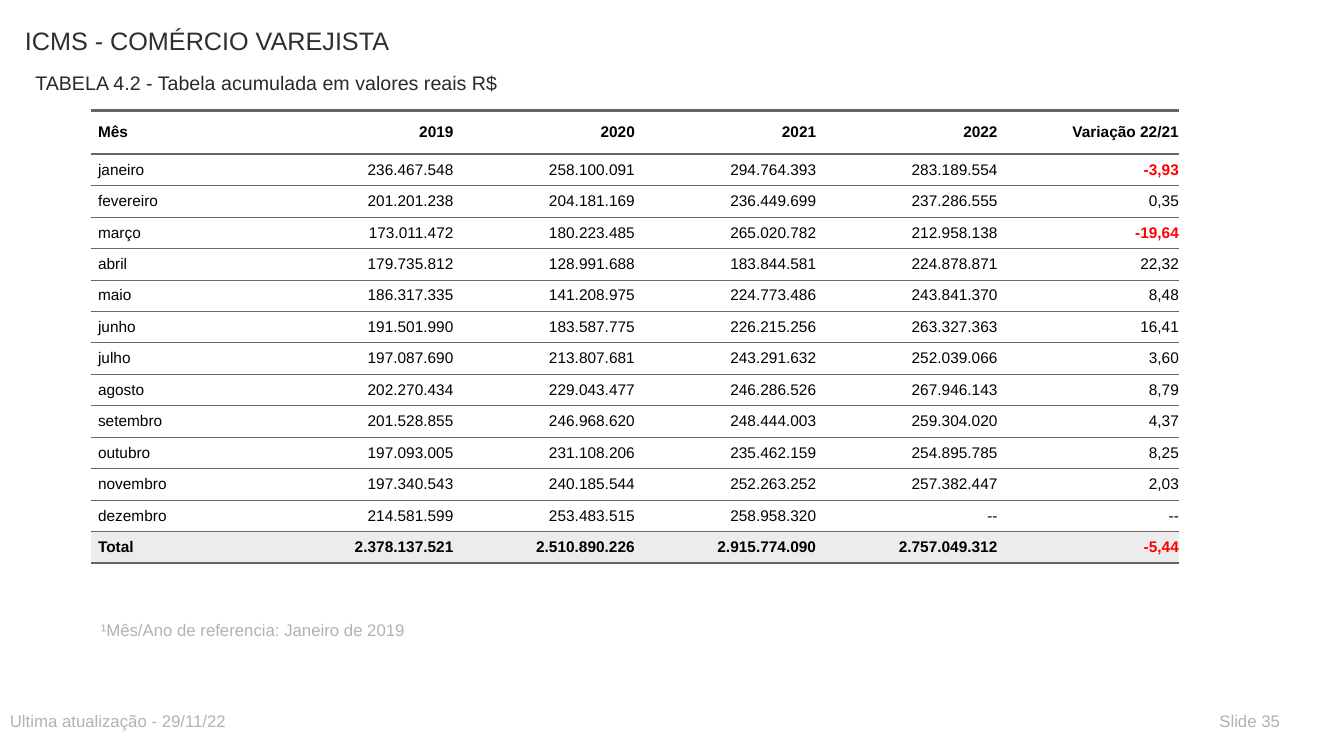
from dataclasses import dataclass

from lxml.etree import SubElement
from pptx import Presentation
from pptx.dml.color import RGBColor
from pptx.enum.text import MSO_ANCHOR, PP_ALIGN
from pptx.oxml.ns import qn
from pptx.util import Cm, Pt

COLORS = {
    "title": "2D2E2D",
    "subtitle": "292929",
    "muted": "B2B2B2",
    "text": "000000",
    "negative": "FF0000",
    "rule": "666666",
    "white": "FFFFFF",
    "total": "ECECEC",
}
FONT = "Arial"
PADDING = Cm(0.18)
THIN, THICK = 0.5, 2

HEADER = ["Mês", "2019", "2020", "2021", "2022", "Variação 22/21"]
MONTHS = [
    ["janeiro", "236.467.548", "258.100.091", "294.764.393", "283.189.554", "-3,93"],
    ["fevereiro", "201.201.238", "204.181.169", "236.449.699", "237.286.555", "0,35"],
    ["março", "173.011.472", "180.223.485", "265.020.782", "212.958.138", "-19,64"],
    ["abril", "179.735.812", "128.991.688", "183.844.581", "224.878.871", "22,32"],
    ["maio", "186.317.335", "141.208.975", "224.773.486", "243.841.370", "8,48"],
    ["junho", "191.501.990", "183.587.775", "226.215.256", "263.327.363", "16,41"],
    ["julho", "197.087.690", "213.807.681", "243.291.632", "252.039.066", "3,60"],
    ["agosto", "202.270.434", "229.043.477", "246.286.526", "267.946.143", "8,79"],
    ["setembro", "201.528.855", "246.968.620", "248.444.003", "259.304.020", "4,37"],
    ["outubro", "197.093.005", "231.108.206", "235.462.159", "254.895.785", "8,25"],
    ["novembro", "197.340.543", "240.185.544", "252.263.252", "257.382.447", "2,03"],
    ["dezembro", "214.581.599", "253.483.515", "258.958.320", "--", "--"],
]
TOTAL = ["Total", "2.378.137.521", "2.510.890.226", "2.915.774.090", "2.757.049.312", "-5,44"]


@dataclass
class Label:
    text: str
    left: float
    top: float
    width: float
    height: float
    size: int
    color: str


@dataclass
class Row:
    values: list[str]
    height: float = 0.64
    fill: str = "white"
    bold: bool = False
    top: float = THIN
    bottom: float = THIN


LABELS = [
    Label("ICMS - COMÉRCIO VAREJISTA", 0.38, 0.51, 20.32, 1.5, 18, "title"),
    Label("TABELA 4.2 - Tabela acumulada em valores reais R$", 0.64, 1.65, 16.51, 0.76, 14, "subtitle"),
    Label("¹Mês/Ano de referencia: Janeiro de 2019", 2.29, 15.49, 16.51, 0.76, 12, "muted"),
    Label("Ultima atualização - 29/11/22", 0, 17.78, 16.51, 0.76, 12, "muted"),
    Label("Slide 35", 30.48, 17.78, 2.29, 0.76, 12, "muted"),
]
ROWS = [
    Row(HEADER, height=1.09, bold=True, top=THICK, bottom=THICK),
    *[Row(values, top=THIN if i else THICK) for i, values in enumerate(MONTHS)],
    Row(TOTAL, fill="total", bold=True, bottom=THICK),
]


def write(tf, text: str, *, size: int, color: str, bold: bool = False,
          align=PP_ALIGN.LEFT, spacing: int = 0, indent: int = 0) -> None:
    p = tf.paragraphs[0]
    p.alignment = align
    p.space_before = p.space_after = Pt(spacing)
    p._p.get_or_add_pPr().set("marL", str(indent))
    r = p.add_run()
    r.text = text
    r.font.name = FONT
    r.font.size = Pt(size)
    r.font.bold = bold
    r.font.color.rgb = RGBColor.from_string(COLORS[color])


def add_label(slide, label: Label) -> None:
    sp = slide.shapes.add_textbox(Cm(label.left), Cm(label.top), Cm(label.width), Cm(label.height))
    sp.text_frame.word_wrap = True
    write(sp.text_frame, label.text, size=label.size, color=label.color)


def set_borders(cell, top: float, bottom: float) -> None:
    tcPr = cell._tc.get_or_add_tcPr()
    for side, width in (("L", 0), ("R", 0), ("T", top), ("B", bottom)):
        ln = SubElement(tcPr, qn(f"a:ln{side}"), w=str(Pt(width)))
        if width:
            fill = SubElement(ln, qn("a:solidFill"))
            SubElement(fill, qn("a:srgbClr"), val=COLORS["rule"])
        else:
            SubElement(ln, qn("a:noFill"))


def fill_cell(cell, text: str, row: Row, first: bool) -> None:
    negative = text.startswith("-") and text != "--"
    set_borders(cell, row.top, row.bottom)
    cell.fill.solid()
    cell.fill.fore_color.rgb = RGBColor.from_string(COLORS[row.fill])
    cell.margin_left = cell.margin_right = 0
    cell.margin_top = cell.margin_bottom = PADDING
    cell.vertical_anchor = MSO_ANCHOR.MIDDLE
    write(cell.text_frame, text, size=11, color="negative" if negative else "text",
          bold=row.bold or negative, align=PP_ALIGN.LEFT if first else PP_ALIGN.RIGHT,
          spacing=5, indent=PADDING)


def add_revenue_table(slide, rows: list[Row]) -> None:
    columns = len(HEADER)
    width = Cm(4.57)
    height = Cm(sum(row.height for row in rows))
    table = slide.shapes.add_table(len(rows), columns, Cm(2.29), Cm(2.79), width * columns, height).table
    table.first_row = table.horz_banding = False
    for column in table.columns:
        column.width = width
    for i, row in enumerate(rows):
        table.rows[i].height = Cm(row.height)
        for j, text in enumerate(row.values):
            fill_cell(table.cell(i, j), text, row, j == 0)


def main() -> None:
    prs = Presentation()
    prs.slide_width, prs.slide_height = Cm(33.87), Cm(19.05)
    slide = prs.slides.add_slide(prs.slide_layouts[6])
    add_revenue_table(slide, ROWS)
    for label in LABELS:
        add_label(slide, label)
    prs.save("out.pptx")


if __name__ == "__main__":
    main()
